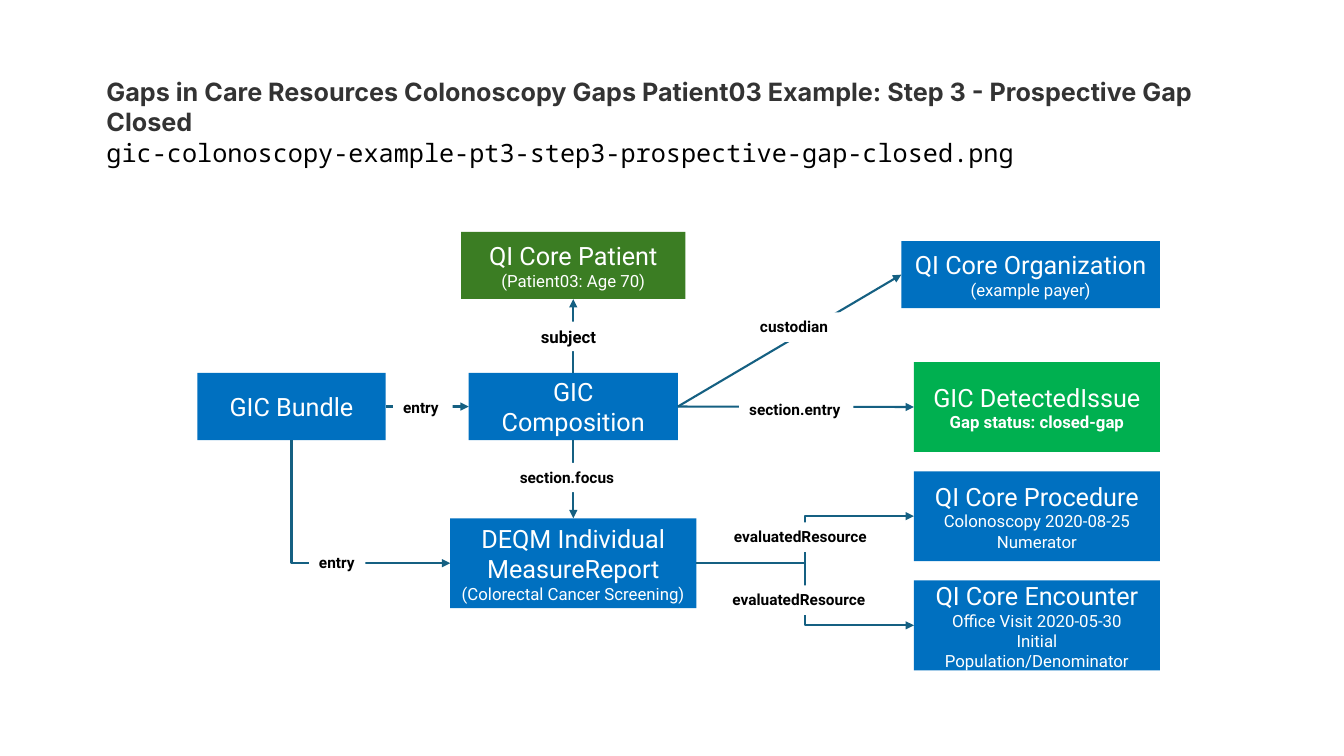
from lxml import etree
from pptx import Presentation
from pptx.dml.color import RGBColor
from pptx.enum.shapes import MSO_CONNECTOR, MSO_SHAPE
from pptx.enum.text import MSO_ANCHOR, MSO_AUTO_SIZE, PP_ALIGN
from pptx.oxml.ns import qn
from pptx.util import Inches, Pt

RECTANGLE = MSO_SHAPE.RECTANGLE
STRAIGHT, ELBOW = MSO_CONNECTOR.STRAIGHT, MSO_CONNECTOR.ELBOW
LEFT, CENTER = PP_ALIGN.LEFT, PP_ALIGN.CENTER
TOP_ANCHOR, MIDDLE_ANCHOR = MSO_ANCHOR.TOP, MSO_ANCHOR.MIDDLE
GROW = MSO_AUTO_SIZE.SHAPE_TO_FIT_TEXT
TOP_SIDE, LEFT_SIDE, BOTTOM_SIDE, RIGHT_SIDE = range(4)

COLUMNS, ROWS = 160, 90
MIDDLE_AXIS = 68.25
RIGHT_EDGE = 138.1
COLORS = {
    "blue": "0070C0", "patient": "3B7D23", "closed": "00B050",
    "arrow": "156082", "white": "FFFFFF", "black": "000000", "heading": "333333",
}


def rgb(name):
    return RGBColor.from_string(COLORS[name])


class Diagram:
    """Draws on one slide, with lengths in columns and rows of the grid."""

    def __init__(self, deck):
        self.slide = deck.slides.add_slide(deck.slide_layouts[6])
        self.column = deck.slide_width / COLUMNS
        self.row = deck.slide_height / ROWS

    def place(self, x, y, width, height):
        return (round(x * self.column), round(y * self.row),
                round(width * self.column), round(height * self.row))

    def set_lines(self, frame, lines, align):
        """Each line is (text, size, bold, font, color)."""
        frame.text = "\n".join(line[0] for line in lines)
        for paragraph, (_, size, bold, font, color) in zip(frame.paragraphs, lines):
            paragraph.alignment = align
            style = paragraph.runs[0].font
            style.size, style.bold, style.name = Pt(size), bold, font
            style.color.rgb = rgb(color)

    def rectangle(self, area, fill):
        shape = self.slide.shapes.add_shape(RECTANGLE, *self.place(*area))
        shape.shadow.inherit = False
        shape.fill.solid()
        shape.fill.fore_color.rgb = rgb(fill)
        shape.line.fill.background()
        return shape

    def resource(self, x, y, width, height, name, *details, fill="blue", bold=False):
        box = self.rectangle((x, y, width, height), fill)
        box.text_frame.word_wrap = True
        box.text_frame.vertical_anchor = MIDDLE_ANCHOR
        lines = [(name, 18, False, "Roboto", "white")]
        lines += [(detail, 12, bold, "Roboto", "white") for detail in details]
        self.set_lines(box.text_frame, lines, CENTER)
        return box

    def label(self, text, x, y, width, size=11):
        frame = self.rectangle((x, y, width, 3.5), "white").text_frame
        frame.word_wrap = False
        frame.auto_size = GROW
        frame.vertical_anchor = TOP_ANCHOR
        self.set_lines(frame, [(text, size, True, "Roboto", "black")], LEFT)

    def heading(self, area, lines):
        frame = self.slide.shapes.add_textbox(*self.place(*area)).text_frame
        frame.word_wrap = True
        self.set_lines(frame, lines, LEFT)

    def arrow(self, source, source_side, target, target_side, kind=STRAIGHT):
        link = self.slide.shapes.add_connector(kind, 0, 0, 0, 0)
        link.begin_connect(source, source_side)
        link.end_connect(target, target_side)
        link.line.color.rgb = rgb("arrow")
        link.line.width = Pt(1.5)
        properties = link._element.spPr
        etree.SubElement(properties.find(qn("a:ln")), qn("a:tailEnd"), type="triangle")
        etree.SubElement(properties, qn("a:effectLst"))
        return link

    def corner_arrow(self, source, target):
        """Runs down from the source, then right into the target."""
        link = self.arrow(source, BOTTOM_SIDE, target, LEFT_SIDE, ELBOW)
        x, y, width, height = link.left, link.top, link.width, link.height
        link.left = x + (width - height) // 2
        link.top = y + (height - width) // 2
        link.width, link.height = height, width
        properties = link._element.spPr
        properties.find(qn("a:prstGeom")).set("prst", "bentConnector2")
        frame = properties.find(qn("a:xfrm"))
        frame.set("rot", "16200000")
        frame.set("flipH", "1")


def main():
    deck = Presentation()
    deck.slide_width, deck.slide_height = Inches(13.333), Inches(7.5)
    diagram = Diagram(deck)

    def middle(y, width, height, *text, **style):
        return diagram.resource(MIDDLE_AXIS - width / 2, y, width, height, *text, **style)

    def right(y, width, height, *text, **style):
        return diagram.resource(RIGHT_EDGE - width, y, width, height, *text, **style)

    bundle = diagram.resource(23.5, 44.4, 22.4, 8, "GIC Bundle")
    patient = middle(27.6, 26.7, 8, "QI Core Patient", "(Patient03: Age 70)", fill="patient")
    composition = middle(44.4, 24.9, 8, "GIC Composition")
    report = middle(61.7, 29.3, 10.7, "DEQM Individual MeasureReport",
                    "(Colorectal Cancer Screening)")
    organization = right(28.7, 30.8, 8, "QI Core Organization", "(example payer)")
    issue, procedure, encounter = [
        right(43.1 + 13 * index, 29.3, 10.7, *text, **style)
        for index, (text, style) in enumerate([
            (("GIC DetectedIssue", "Gap status: closed-gap"), {"fill": "closed", "bold": True}),
            (("QI Core Procedure", "Colonoscopy 2020-08-25", "Numerator"), {}),
            (("QI Core Encounter", "Office Visit 2020-05-30",
              "Initial Population/Denominator"), {}),
        ])
    ]

    diagram.arrow(composition, TOP_SIDE, patient, BOTTOM_SIDE)
    diagram.arrow(composition, BOTTOM_SIDE, report, TOP_SIDE)
    for source, target, kind in [
        (bundle, composition, STRAIGHT),
        (composition, organization, STRAIGHT),
        (composition, issue, STRAIGHT),
        (report, procedure, ELBOW),
        (report, encounter, ELBOW),
    ]:
        diagram.arrow(source, RIGHT_SIDE, target, LEFT_SIDE, kind)
    diagram.corner_arrow(bundle, report)

    diagram.label("subject", 63.2, 38.3, 9.4, size=12)
    for relation, x, y, width in [
        ("entry", 36.8, 65.3, 6.7),
        ("entry", 46.8, 46.8, 7.1),
        ("section.focus", 60.7, 55.1, 13.9),
        ("custodian", 89.3, 37.2, 10.8),
        ("section.entry", 88, 47, 13.6),
        ("evaluatedResource", 86.2, 62.2, 18.8),
        ("evaluatedResource", 86, 69.7, 18.8),
    ]:
        diagram.label(relation, x, y, width)

    diagram.heading((11.5, 8.5, 142, 8.5), [
        ("Gaps in Care Resources Colonoscopy Gaps Patient03 Example: "
         "Step 3 - Prospective Gap Closed", 18, True, "Inter", "heading"),
        ("gic-colonoscopy-example-pt3-step3-prospective-gap-closed.png",
         18, False, "Noto Sans Mono", "black"),
    ])
    deck.save("out.pptx")


if __name__ == "__main__":
    main()
